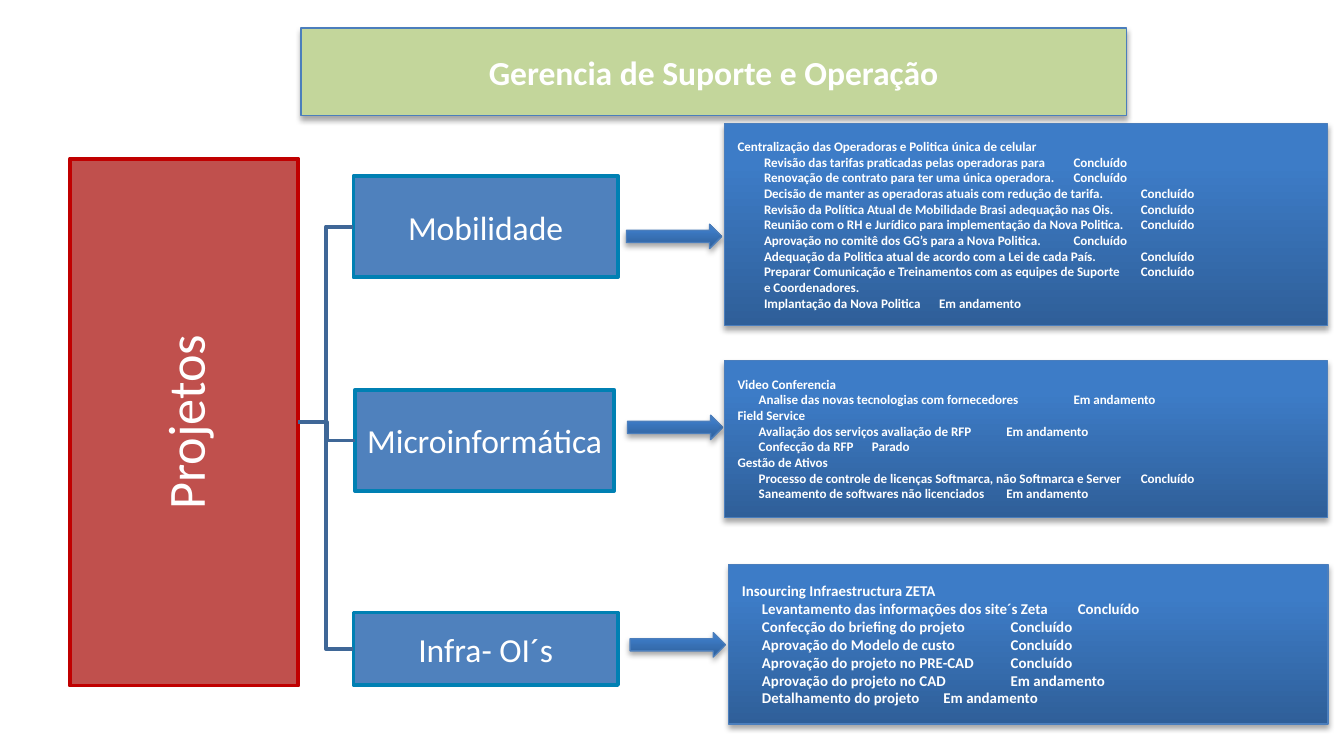
"""Build the slide of support and operation projects, their areas and task status."""
from dataclasses import dataclass

from lxml.etree import SubElement
from pptx import Presentation
from pptx.dml.color import RGBColor as Color
from pptx.enum.shapes import MSO_CONNECTOR as Link, MSO_SHAPE as Preset
from pptx.enum.text import MSO_ANCHOR as Anchor, MSO_AUTO_SIZE as Fit, PP_ALIGN as Align
from pptx.oxml.ns import qn
from pptx.util import Cm, Pt


@dataclass(frozen=True)
class Theme:
    font: str = "Calibri"
    text: str = "FFFFFF"
    banner: str = "C3D69B"
    root: str = "C0504D"
    root_line: str = "C00000"
    area: str = "4F81BD"
    area_line: str = "0080B3"
    bracket: str = "3F6797"
    edge: str = "4B7EBC"
    dark: str = "2F5F99"
    light: str = "3D7CC7"
    shadow: str = "000000"
    title_size: float = 18
    root_size: float = 28
    area_size: float = 18


theme = Theme()


def paint(shape, fill, line, width, raised=False):
    if fill:
        shape.fill.solid()
        shape.fill.fore_color.rgb = Color.from_string(fill)
    else:
        shape.fill.gradient()
        shape.fill.gradient_angle = 90
        for stop, (position, shade) in zip(shape.fill.gradient_stops, ((0, theme.dark), (0.8, theme.light))):
            stop.position = position
            stop.color.rgb = Color.from_string(shade)
    shape.line.color.rgb = Color.from_string(line)
    shape.line.width = Pt(width)
    shape.shadow.inherit = False
    if raised:
        effects = shape.element.spPr.find(qn("a:effectLst"))
        cast = SubElement(effects, qn("a:outerShdw"), blurRad=str(Pt(3.1)), dist=str(Pt(1.8)),
                          dir="5400000", rotWithShape="0")
        shade = SubElement(cast, qn("a:srgbClr"), val=theme.shadow)
        SubElement(shade, qn("a:alpha"), val="35000")


def write(para, text, size, bold=False, align=Align.CENTER):
    para.alignment = align
    span = para.add_run()
    span.text = text
    for name, value in {"name": theme.font, "size": Pt(size), "bold": bold}.items():
        setattr(span.font, name, value)
    span.font.color.rgb = Color.from_string(theme.text)


deck = Presentation()
deck.slide_width, deck.slide_height = Cm(25.4), Cm(14.29)
page = deck.slides.add_slide(deck.slide_layouts.get_by_name("Title Only"))

title = page.shapes.title
for name, value in {"left": 5.69, "top": 0.53, "width": 15.6, "height": 1.65}.items():
    setattr(title, name, Cm(value))
paint(title, theme.banner, theme.edge, 0.75, raised=True)
for name, value in {"auto_size": Fit.NONE, "vertical_anchor": Anchor.MIDDLE}.items():
    setattr(title.text_frame, name, value)
write(title.text_frame.paragraphs[0], "Gerencia de Suporte e Operação", theme.title_size, bold=True)

root = page.shapes.add_shape(Preset.RECTANGLE, Cm(1.32), Cm(3), Cm(4.32), Cm(9.96))
paint(root, theme.root, theme.root_line, 2)
root.text_frame.vertical_anchor = Anchor.MIDDLE
root.text_frame._txBody.bodyPr.set("vert", "vert270")
write(root.text_frame.paragraphs[0], "Projetos", theme.root_size)

areas = [
    ("Mobilidade", (6.68, 3.33, 5, 1.91)),
    ("Microinformática", (6.71, 7.37, 4.9, 1.91)),
    ("Infra- OI´s", (6.68, 11.58, 5, 1.37)),
]
tight = {"margin_left": Cm(0.03), "margin_right": Cm(0.03), "margin_top": Cm(0.03),
         "margin_bottom": Cm(0.03), "vertical_anchor": Anchor.MIDDLE, "word_wrap": True}
for label, place in areas:
    box = page.shapes.add_shape(Preset.RECTANGLE, *map(Cm, place))
    paint(box, theme.area, theme.area_line, 2)
    for name, value in tight.items():
        setattr(box.text_frame, name, value)
    write(box.text_frame.paragraphs[0], label, theme.area_size)
    bracket = page.shapes.add_connector(Link.ELBOW, 0, 0, 0, 0)
    bracket.begin_connect(root, 3)
    bracket.end_connect(box, 1)
    bracket.line.color.rgb = Color.from_string(theme.bracket)
    bracket.line.width = Pt(2)
    SubElement(bracket.element.spPr, qn("a:effectLst"))

for left, top in ((11.84, 4.24), (11.86, 7.85), (11.91, 11.96)):
    arrow = page.shapes.add_shape(Preset.RIGHT_ARROW, Cm(left), Cm(top), Cm(1.8), Cm(0.46))
    paint(arrow, None, theme.edge, 0.75, raised=True)

done, ongoing, stopped = "Concluído", "Em andamento", "Parado"
panels = [
    ((13.69, 2.34, 11.4, 3.81), 7, 0.5, [
        ("Centralização das Operadoras e Politica única de celular", None),
        ("Revisão das tarifas praticadas pelas operadoras para", done),
        ("Renovação de contrato para ter uma única operadora.", done),
        ("Decisão de manter as operadoras atuais com redução de tarifa.", done),
        ("Revisão da Política Atual de Mobilidade Brasi adequação nas Ois.", done),
        ("Reunião com o RH e Jurídico para implementação da Nova Politica.", done),
        ("Aprovação no comitê dos GG’s para a Nova Politica.", done),
        ("Adequação da Politica atual de acordo com a Lei de cada País.", done),
        ("Preparar Comunicação e Treinamentos com as equipes de Suporte", done),
        ("e Coordenadores.", ""),
        ("Implantação da Nova Politica", ongoing),
    ]),
    ((13.69, 6.81, 11.4, 2.97), 7, 0.4, [
        ("Video Conferencia", None),
        ("Analise das novas tecnologias com fornecedores", ongoing),
        ("Field Service", None),
        ("Avaliação dos serviços avaliação de RFP", ongoing),
        ("Confecção da RFP", stopped),
        ("Gestão de Ativos", None),
        ("Processo de controle de licenças Softmarca, não Softmarca e Server", done),
        ("Saneamento de softwares não licenciados", ongoing),
    ]),
    ((13.77, 10.67, 11.33, 3.02), 8, 0.38, [
        ("Insourcing Infraestructura ZETA", None),
        ("Levantamento das informações dos site´s Zeta", done),
        ("Confecção do briefing do projeto", done),
        ("Aprovação do Modelo de custo", done),
        ("Aprovação do projeto no PRE-CAD", done),
        ("Aprovação do projeto no CAD", ongoing),
        ("Detalhamento do projeto", ongoing),
    ]),
]
for place, size, indent, tasks in panels:
    panel = page.shapes.add_shape(Preset.RECTANGLE, *map(Cm, place))
    paint(panel, None, theme.edge, 0.75, raised=True)
    frame = panel.text_frame
    frame.vertical_anchor = Anchor.MIDDLE
    for index, (task, status) in enumerate(tasks):
        para = frame.add_paragraph() if index else frame.paragraphs[0]
        props = para._p.get_or_add_pPr()
        if status is not None:
            props.set("marL", "0")
            props.set("indent", str(Cm(indent)))
        if status:
            tabs = SubElement(props, qn("a:tabLst"))
            SubElement(tabs, qn("a:tab"), pos=str(Cm(7.62)), algn="l")
        write(para, f"{task}\t{status}" if status else task, size, bold=True, align=Align.LEFT)

deck.save("out.pptx")
